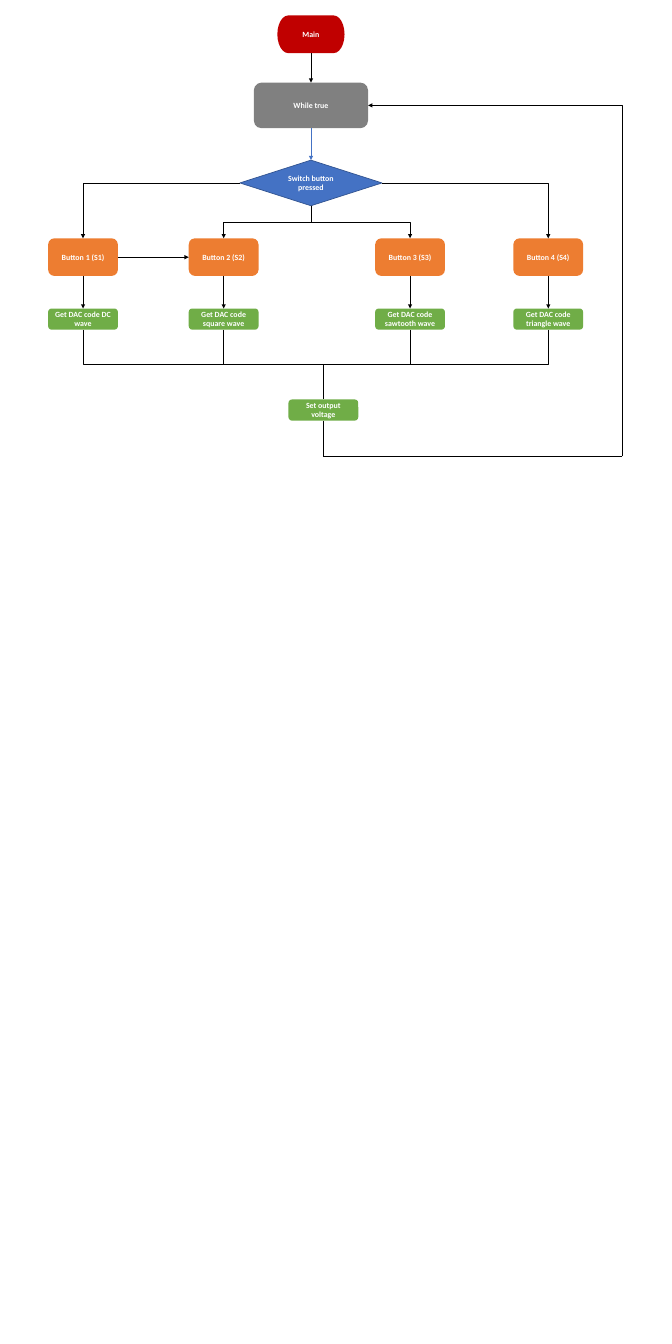
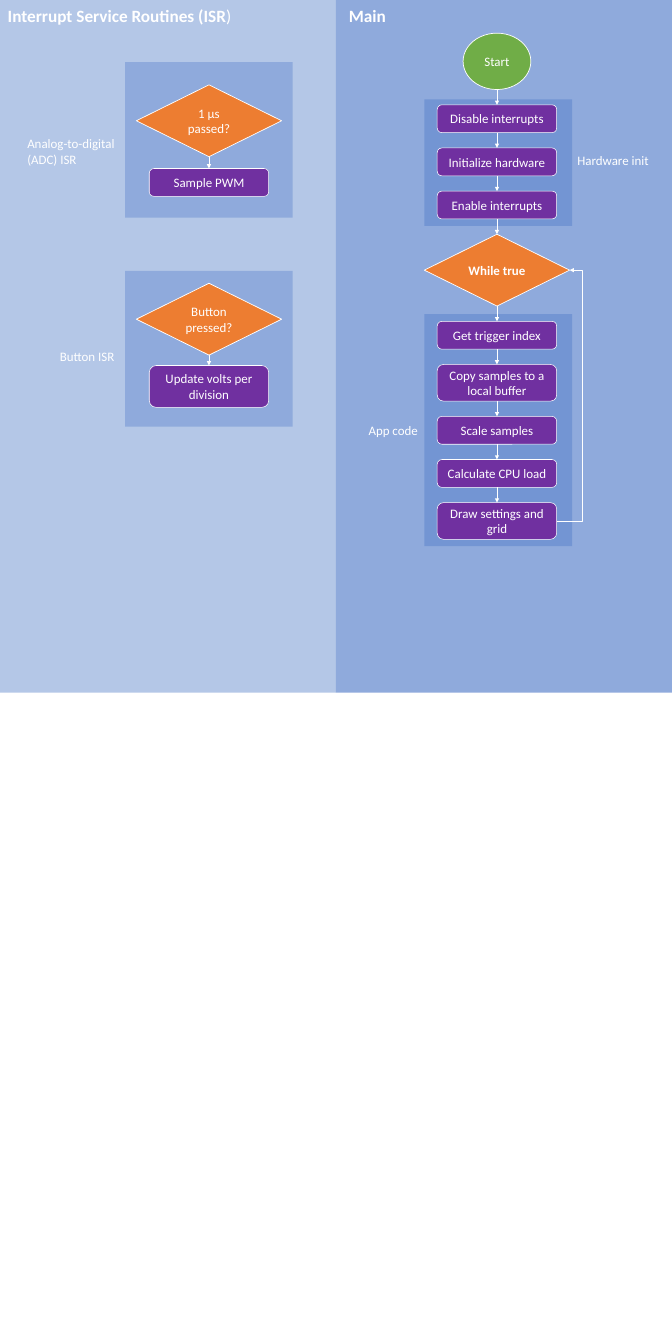
"""Build two firmware flowcharts: the waveform generator and the oscilloscope."""
from lxml import etree
from pptx import Presentation
from pptx.dml.color import RGBColor
from pptx.enum.shapes import MSO_CONNECTOR, MSO_SHAPE
from pptx.enum.text import MSO_ANCHOR, PP_ALIGN
from pptx.oxml.ns import qn
from pptx.util import Cm, Pt

RECT = MSO_SHAPE.RECTANGLE
ROUNDED = MSO_SHAPE.ROUNDED_RECTANGLE
DECISION = MSO_SHAPE.FLOWCHART_DECISION
TERMINATOR = MSO_SHAPE.FLOWCHART_TERMINATOR
OVAL = MSO_SHAPE.OVAL
STRAIGHT = MSO_CONNECTOR.STRAIGHT
ELBOW = MSO_CONNECTOR.ELBOW
MIDDLE = MSO_ANCHOR.MIDDLE
CENTER, LEFT = PP_ALIGN.CENTER, PP_ALIGN.LEFT

COLORS = {
    "white": "FFFFFF", "black": "000000", "gray": "808080", "red": "C00000",
    "blue": "4472C4", "navy": "325491", "orange": "ED7D31", "green": "70AD47",
    "purple": "7030A0", "pale": "B4C7E7", "mid": "8FAADC", "deep": "7395D3",
}


def color(name):
    return RGBColor.from_string(COLORS[name])


def write(frame, text, size=18, bold=False, align=CENTER, light_end=""):
    frame.word_wrap = True
    paragraph = frame.paragraphs[0]
    paragraph.alignment = align
    for part, weight in ((text, bold), (light_end, False)):
        if part:
            run = paragraph.add_run()
            run.text = part
            run.font.name = "Calibri"
            run.font.size = Pt(size)
            run.font.bold = weight
            run.font.color.rgb = color("white")


def top(shape):
    return shape.left + shape.width // 2, shape.top


def bottom(shape):
    return shape.left + shape.width // 2, shape.top + shape.height


def left(shape):
    return shape.left, shape.top + shape.height // 2


def right(shape):
    return shape.left + shape.width, shape.top + shape.height // 2


class Flowchart:
    def __init__(self, width, height):
        self.deck = Presentation()
        self.deck.slide_width, self.deck.slide_height = Cm(width), Cm(height)
        self.slide = None
        self.ink = "black"

    def new_slide(self, ink):
        self.slide = self.deck.slides.add_slide(self.deck.slide_layouts[6])
        self.ink = ink

    def panel(self, x, y, width, height, fill, kind=RECT, edge=None, weight=1):
        shape = self.slide.shapes.add_shape(kind, Cm(x), Cm(y), Cm(width), Cm(height))
        shape.shadow.inherit = False
        shape.fill.solid()
        shape.fill.fore_color.rgb = color(fill)
        if edge:
            shape.line.color.rgb = color(edge)
            shape.line.width = Pt(weight)
        else:
            shape.line.fill.background()
        return shape

    def node(self, text, center, y, width, height, fill, size=18, bold=False, **look):
        shape = self.panel(center - width / 2, y, width, height, fill, **look)
        shape.text_frame.vertical_anchor = MIDDLE
        write(shape.text_frame, text, size=size, bold=bold)
        return shape

    def label(self, text, x, y, width, height=1.02, **style):
        box = self.slide.shapes.add_textbox(Cm(x), Cm(y), Cm(width), Cm(height))
        write(box.text_frame, text, align=LEFT, **style)

    def line(self, start, end, arrow=True, ink=None, kind=STRAIGHT):
        line = self.slide.shapes.add_connector(kind, *start, *end)
        line.line.color.rgb = color(ink or self.ink)
        line.line.width = Pt(0.5)
        if arrow:
            etree.SubElement(line.line._get_or_add_ln(), qn("a:tailEnd"), type="triangle")
        etree.SubElement(line._element.spPr, qn("a:effectLst"))
        return line

    def elbow(self, start, end, corners=1, down_first=False, reach=0.5, arrow=True):
        turn = 0
        if down_first:
            (x1, y1), (x2, y2) = start, end
            dx, dy = x2 - x1, y2 - y1
            mid_x, mid_y = (x1 + x2) / 2, (y1 + y2) / 2
            turn = 1 if dx < 0 < dy else -1
            across, along = turn * dy / 2, turn * dx / 2
            start = int(mid_x - across), int(mid_y + along)
            end = int(mid_x + across), int(mid_y - along)
        line = self.line(start, end, arrow=arrow, kind=ELBOW)
        properties = line._element.spPr
        if turn:
            properties.find(qn("a:xfrm")).set("rot", str(turn * 90 % 360 * 60000))
        geometry = properties.find(qn("a:prstGeom"))
        geometry.set("prst", f"bentConnector{corners + 1}")
        if corners == 2:
            guides = geometry.find(qn("a:avLst"))
            etree.SubElement(guides, qn("a:gd"), name="adj1", fmla=f"val {int(reach * 100000)}")

    def flow(self, center, y, gap, steps):
        nodes = []
        for text, width, height, look in steps:
            nodes.append(self.node(text, center, y, width, height, edge="white", **look))
            y += height + gap
        for upper, lower in zip(nodes, nodes[1:]):
            self.line(bottom(upper), top(lower))
        return nodes


def step(text, height=1.37):
    return text, 5.87, height, {"fill": "purple", "kind": ROUNDED, "weight": 0.75}


def question(text, bold=False):
    return text, 7.14, 3.53, {"fill": "orange", "kind": DECISION, "bold": bold}


def waveform_generator(chart):
    chart.new_slide("black")
    spine, output_x = 15.28, 15.89
    style = {"size": 11, "bold": True}
    main_start = chart.node("Main", spine, 0.76, 3.3, 1.85, "red", kind=TERMINATOR, **style)
    loop = chart.node("While true", spine, 4.06, 5.61, 2.24, "gray", kind=ROUNDED, **style)
    switch = chart.node("Switch button pressed", spine, 7.87, 6.98, 2.24, "blue",
                        kind=DECISION, edge="navy", **style)
    chart.line(bottom(main_start), top(loop))
    chart.line(bottom(loop), top(switch), ink="blue")

    buttons, waves = [], []
    columns = zip((4.08, 10.99, 20.15, 26.94), ("DC", "square", "sawtooth", "triangle"))
    for number, (center, wave) in enumerate(columns, 1):
        buttons.append(chart.node(f"Button {number} (S{number})", center, 11.71, 3.43, 1.85,
                                  "orange", kind=ROUNDED, **style))
        waves.append(chart.node(f"Get DAC code {wave} wave", center, 15.16, 3.43, 1.04,
                                "green", kind=ROUNDED, **style))
        chart.line(bottom(buttons[-1]), top(waves[-1]))
    chart.elbow(left(switch), top(buttons[0]))
    chart.elbow(right(switch), top(buttons[3]))
    for button in buttons[1:3]:
        chart.elbow(bottom(switch), top(button), corners=2, down_first=True)
    chart.line(right(buttons[0]), left(buttons[1]))

    merge_y = Cm(17.91)
    merge = top(waves[1])[0], merge_y
    for wave in (waves[0], waves[3]):
        chart.elbow(bottom(wave), merge, down_first=True, arrow=False)
    for wave in waves[1:3]:
        chart.line(bottom(wave), (bottom(wave)[0], merge_y), arrow=False)

    output = chart.node("Set output voltage", output_x, 19.63, 3.43, 1.04, "green",
                        kind=ROUNDED, **style)
    turn, corner = (Cm(output_x), Cm(22.43)), (Cm(30.56), Cm(22.43))
    chart.line((Cm(output_x), merge_y), top(output), arrow=False)
    chart.line(bottom(output), turn, arrow=False)
    chart.line(turn, corner, arrow=False)
    chart.elbow(corner, right(loop), down_first=True)


def oscilloscope(chart):
    chart.new_slide("white")
    half, height = 16.51, 34.04
    chart.panel(0, 0, half, height, "pale")
    chart.panel(half, 0, half, height, "mid")
    for y in (3.05, 13.31):
        chart.panel(6.15, y, 8.23, 7.65, "mid")
    chart.panel(20.85, 4.88, 7.26, 6.22, "deep")
    chart.panel(20.85, 15.44, 7.26, 11.4, "deep")

    chart.flow(10.27, 4.17, 0.58, [question("1 μs passed?"), step("Sample PWM")])
    chart.flow(10.27, 13.92, 0.51, [question("Button pressed?"),
                                    step("Update volts per division", 2.06)])
    main_flow = chart.flow(24.42, 1.63, 0.75, [
        ("Start", 3.33, 2.77, {"fill": "green", "kind": OVAL}),
        step("Disable interrupts"),
        step("Initialize hardware"),
        step("Enable interrupts"),
        question("While true", bold=True),
        step("Get trigger index"),
        step("Copy samples to a local buffer", 1.8),
        step("Scale samples"),
        step("Calculate CPU load"),
        step("Draw settings and grid", 1.8),
    ])
    chart.elbow(right(main_flow[-1]), right(main_flow[4]), corners=2, reach=2)

    chart.label("Interrupt Service Routines (ISR", 0.13, 0.15, 12.32, 1.27,
                size=24, bold=True, light_end=")")
    chart.label("Main", 16.89, 0.15, 11.1, 1.27, size=24, bold=True)
    chart.label("Hardware init", 28.12, 7.39, 4.88)
    chart.label("App code", 17.86, 20.62, 3.63)
    chart.label("Button ISR", 2.69, 16.99, 3.43)
    chart.label("Analog-to-digital (ADC) ISR", 1.09, 6.55, 5.03, 1.8)


def main():
    chart = Flowchart(33.02, 66.04)
    waveform_generator(chart)
    oscilloscope(chart)
    chart.deck.save("out.pptx")


if __name__ == "__main__":
    main()
